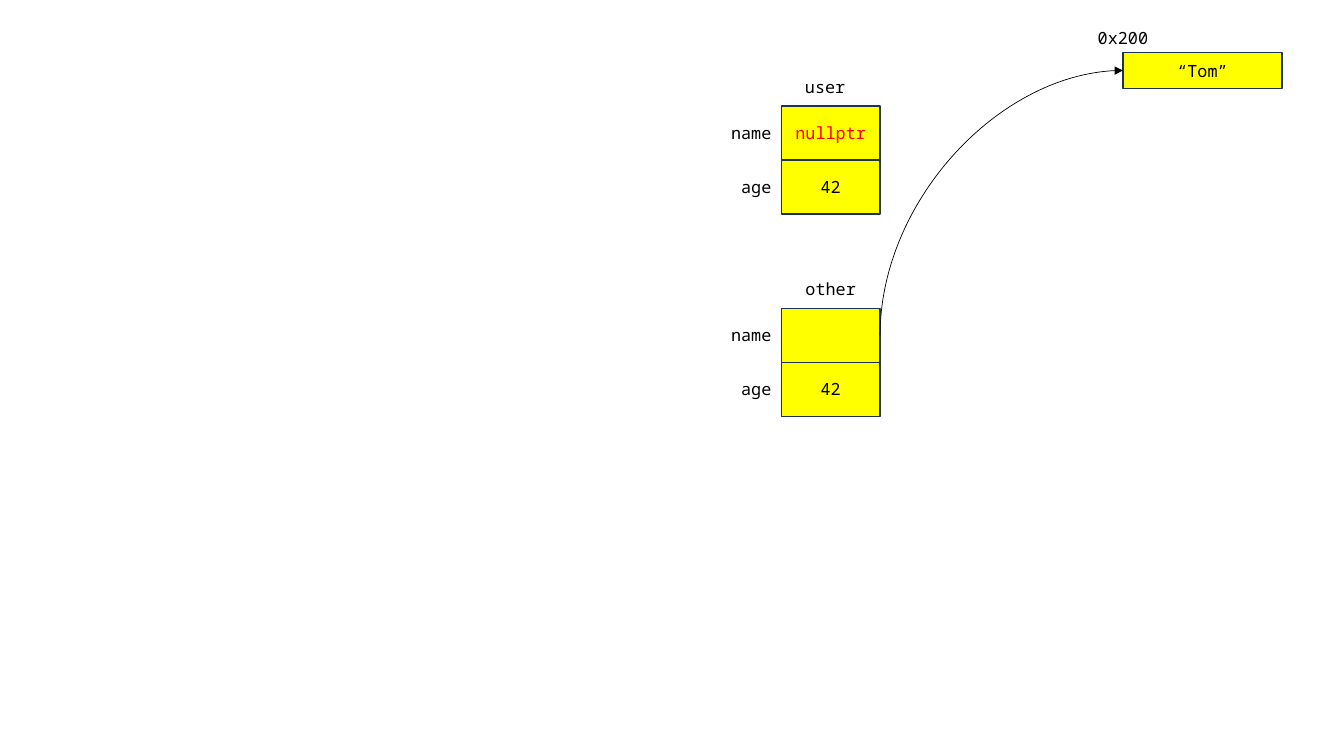
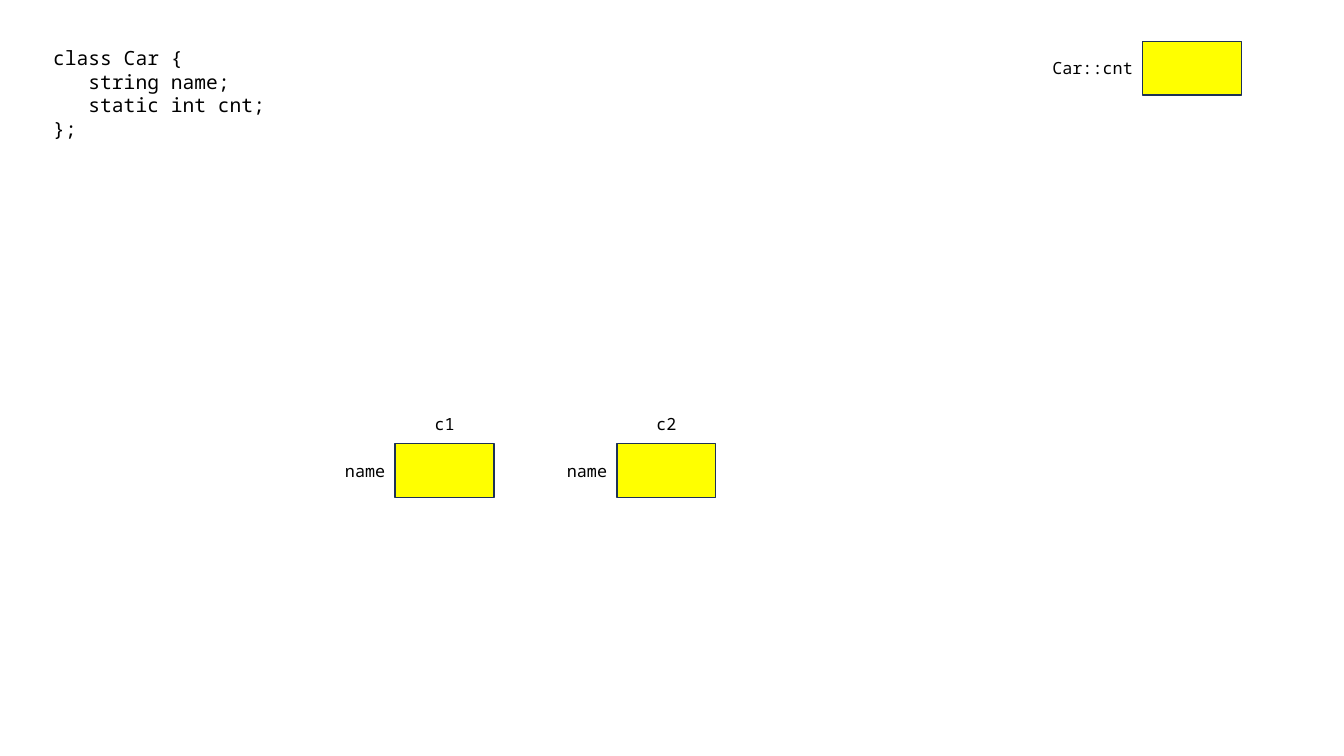
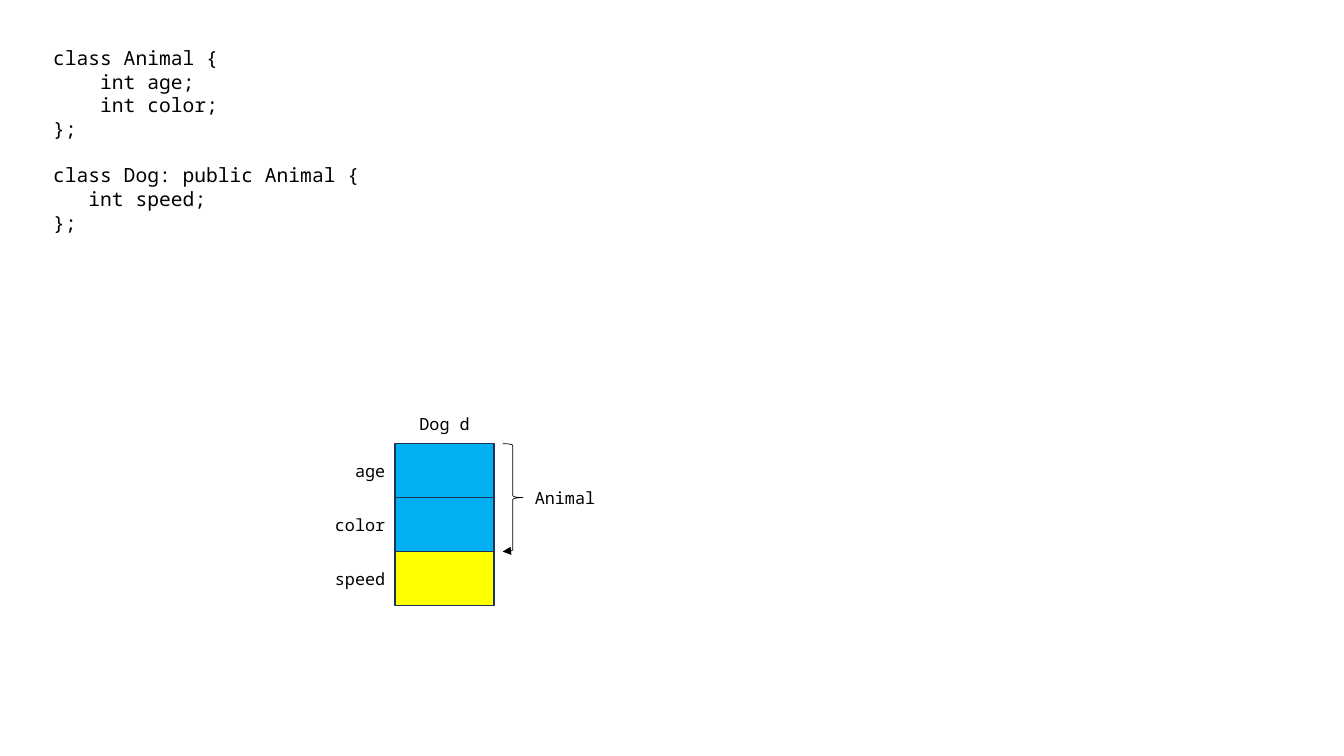
from dataclasses import dataclass

from pptx import Presentation, util as u
from pptx.dml.color import RGBColor
from pptx.enum import shapes, text
from pptx.oxml import ns
from lxml import etree


@dataclass(frozen=True)
class Theme:
    """Fonts, sizes in points, colours and lengths in centimetres."""
    font: str = "Noto Sans Mono"
    label_size: int = 12
    code_size: int = 14
    ink: str = "000000"
    alert: str = "FF0000"
    own: str = "FFFF00"
    inherited: str = "00B0F0"
    border: str = "1E3256"
    border_width: float = 1
    thin_width: float = 0.5
    cell_width: float = 2.49
    cell_height: float = 1.36
    label_width: float = 1.93
    label_height: float = 0.77
    heading_rise: float = 0.87
    code_gap: float = 0.58


THEME = Theme()
CENTER = text.PP_ALIGN.CENTER
LEFT = text.PP_ALIGN.LEFT
RIGHT = text.PP_ALIGN.RIGHT


@dataclass(frozen=True)
class Field:
    """One member of an object: its label, value and colours."""
    label: str
    value: str = ""
    fill: str = THEME.own
    color: str = THEME.ink


def write_text(frame, content, size=THEME.label_size, color=THEME.ink, align=CENTER):
    """Write lines of text, with a gap wherever a blank line parts two blocks."""
    frame.word_wrap = True
    paragraph = None
    for block_index, block in enumerate(content.split("\n\n")):
        for line_index, line in enumerate(block.split("\n")):
            paragraph = frame.add_paragraph() if paragraph else frame.paragraphs[0]
            paragraph.alignment = align
            if block_index and not line_index:
                paragraph.space_before = u.Cm(THEME.code_gap)
            run = paragraph.add_run()
            run.text = line
            run.font.name = THEME.font
            run.font.size = u.Pt(size)
            run.font.color.rgb = RGBColor.from_string(color)


def add_label(slide, content, left, top, width=THEME.label_width,
              height=THEME.label_height, **style):
    """Add a text box that grows with its text."""
    box = slide.shapes.add_textbox(u.Cm(left), u.Cm(top), u.Cm(width), u.Cm(height))
    write_text(box.text_frame, content, **style)
    box.text_frame.auto_size = text.MSO_AUTO_SIZE.SHAPE_TO_FIT_TEXT


def add_code(slide, content):
    """Add the class listing at the top left."""
    add_label(slide, content, 1.09, 1.04, 16.94, 2.64, size=THEME.code_size, align=LEFT)


def set_line(line, color, width, arrow=False):
    """Set a line's colour and width, and its arrowhead if wanted."""
    line.color.rgb = RGBColor.from_string(color)
    line.width = u.Pt(width)
    if arrow:
        outline = line._get_or_add_ln()
        etree.SubElement(outline, ns.qn("a:tailEnd"), type="triangle")


def add_cell(slide, left, top, value="", width=THEME.cell_width,
             height=THEME.cell_height, fill=THEME.own, color=THEME.ink):
    """Add one memory cell with its value."""
    cell = slide.shapes.add_shape(shapes.MSO_SHAPE.RECTANGLE, u.Cm(left), u.Cm(top),
                                  u.Cm(width), u.Cm(height))
    cell.shadow.inherit = False
    cell.fill.solid()
    cell.fill.fore_color.rgb = RGBColor.from_string(fill)
    set_line(cell.line, THEME.border, THEME.border_width)
    if value:
        cell.text_frame.vertical_anchor = text.MSO_ANCHOR.MIDDLE
        write_text(cell.text_frame, value, color=color)


def add_object(slide, left, top, fields, heading="", heading_shift=0,
               label_width=THEME.label_width):
    """Stack an object's cells below its heading, with labels to their left."""
    if heading:
        heading_left = left + (THEME.cell_width - THEME.label_width) / 2 + heading_shift
        add_label(slide, heading, heading_left, top - THEME.heading_rise)
    for index, field in enumerate(fields):
        cell_top = top + index * THEME.cell_height
        add_cell(slide, left, cell_top, field.value, fill=field.fill, color=field.color)
        label_top = cell_top + (THEME.cell_height - THEME.label_height) / 2
        add_label(slide, field.label, left - label_width, label_top, label_width, align=RIGHT)


def add_heap_string(slide, left, top, width, height, value, address):
    """Add a string on the heap, its address centred on its left edge."""
    add_cell(slide, left, top, value, width, height)
    add_label(slide, address, left - THEME.label_width / 2, top - 0.74)


def add_pointer(slide, start_x, start_y, end_x, end_y):
    """Curve an arrow that leaves upwards and arrives from the left."""
    middle_x, middle_y = (start_x + end_x) / 2, (start_y + end_y) / 2
    half_width, half_height = (start_y - end_y) / 2, (end_x - start_x) / 2
    pointer = slide.shapes.add_connector(
        shapes.MSO_CONNECTOR.CURVE,
        u.Cm(middle_x + half_width), u.Cm(middle_y + half_height),
        u.Cm(middle_x - half_width), u.Cm(middle_y - half_height))
    properties = pointer.element.spPr
    properties.find(ns.qn("a:xfrm")).set("rot", "5400000")
    properties.find(ns.qn("a:prstGeom")).set("prst", "curvedConnector2")
    set_line(pointer.line, THEME.ink, THEME.thin_width, arrow=True)
    etree.SubElement(properties, ns.qn("a:effectLst"))


def add_brace(slide, left, top, height, caption):
    """Add a brace with a caption beside its middle."""
    brace = slide.shapes.add_shape(shapes.MSO_SHAPE.RIGHT_BRACE, u.Cm(left), u.Cm(top),
                                   u.Cm(0.51), u.Cm(height))
    brace.shadow.inherit = False
    brace.fill.background()
    set_line(brace.line, THEME.ink, THEME.thin_width, arrow=True)
    add_label(slide, caption, left + 0.44, top + (height - THEME.label_height) / 2, 2.26)


def build_move(slide):
    """Show a name moved from one object to another."""
    left, user_top, other_top = 19.69, 2.67, 7.77
    heap_left, heap_top, heap_height = 28.3, 1.32, 0.91
    age = Field("age", "42")
    add_object(slide, left, user_top, [Field("name", "nullptr", color=THEME.alert), age],
               "user", heading_shift=-0.14)
    add_heap_string(slide, heap_left, heap_top, 4.01, heap_height, "“Tom”", "0x200")
    add_object(slide, left, other_top, [Field("name"), age], "other")
    add_pointer(slide, left + THEME.cell_width, other_top + THEME.cell_height / 2,
                heap_left, heap_top + heap_height / 2)


def build_static_member(slide):
    """Show two objects and the static member they share."""
    for index, heading in enumerate(["c1", "c2"]):
        add_object(slide, 9.96 + index * 5.59, 11.18, [Field("name")], heading)
    add_object(slide, 28.8, 1.04, [Field("Car::cnt")], label_width=3.07)
    add_code(slide, "class Car {\n   string name;\n   static int cnt;\n};")


def build_inheritance(slide):
    """Show an object with inherited and own members."""
    left, top = 9.96, 11.18
    inherited = [Field(label, fill=THEME.inherited) for label in ("age", "color")]
    add_object(slide, left, top, inherited + [Field("speed")], "Dog d")
    add_code(slide, "class Animal {\n    int age;\n    int color;\n};\n\n"
                    "class Dog: public Animal {\n   int speed;\n};")
    add_brace(slide, left + THEME.cell_width + 0.22, top,
              len(inherited) * THEME.cell_height, "Animal")


def main():
    """Build and save the presentation."""
    presentation = Presentation()
    presentation.slide_width = u.Cm(33.87)
    presentation.slide_height = u.Cm(19.05)
    blank = presentation.slide_layouts[6]
    for build in (build_move, build_static_member, build_inheritance):
        build(presentation.slides.add_slide(blank))
    presentation.save("out.pptx")


if __name__ == "__main__":
    main()
